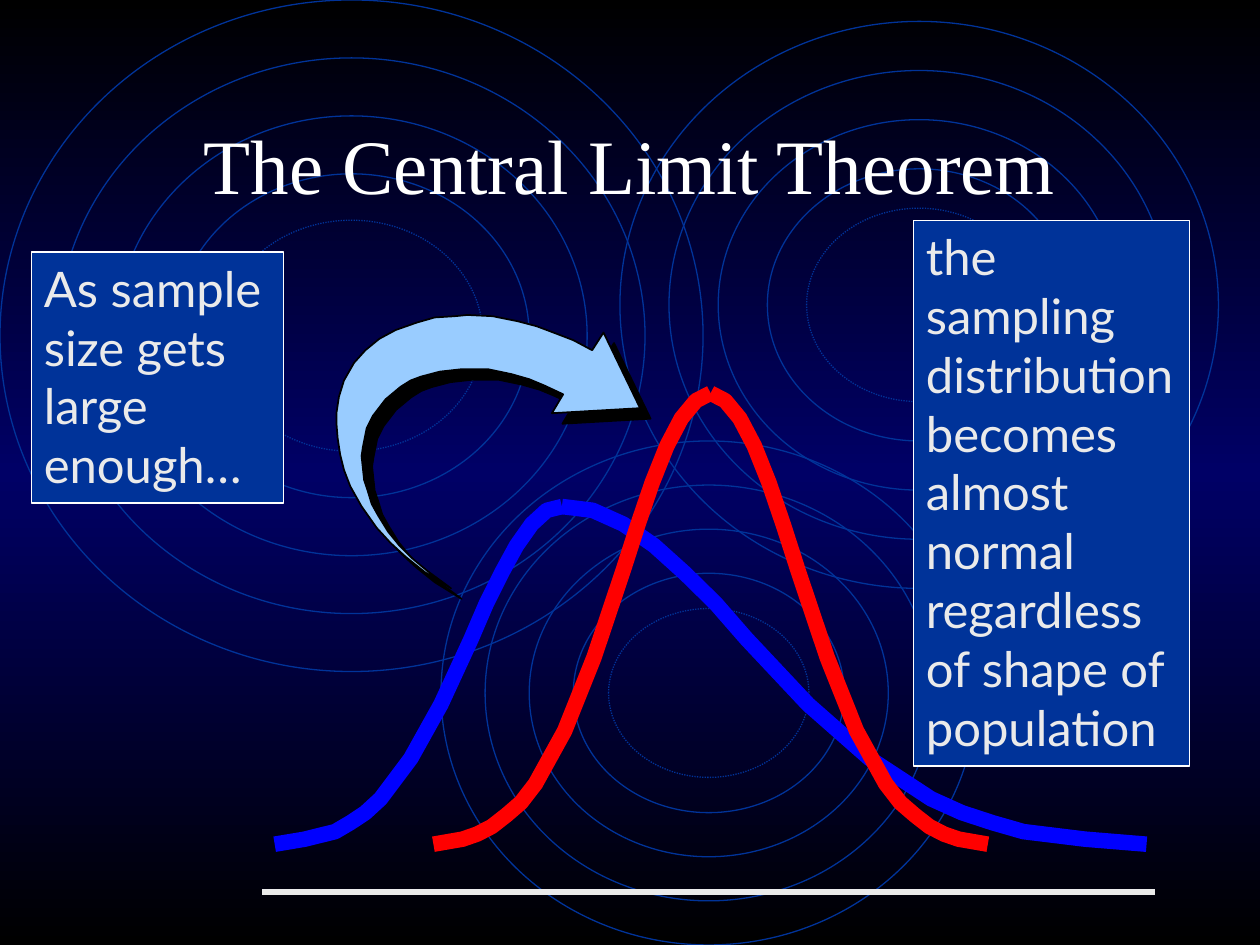
from copy import deepcopy

from lxml import etree
from pptx import Presentation
from pptx import util as u
from pptx.dml.color import RGBColor
from pptx.enum import dml, shapes, text
from pptx.oxml.ns import qn

BLACK = RGBColor(0x00, 0x00, 0x00)
MIDNIGHT = RGBColor(0x00, 0x00, 0x66)
NAVY = RGBColor(0x00, 0x33, 0x99)
BLUE = RGBColor(0x00, 0x00, 0xFF)
RED = RGBColor(0xFF, 0x00, 0x00)
SKY = RGBColor(0x99, 0xCC, 0xFF)
WHITE = RGBColor(0xFF, 0xFF, 0xFF)
PALE = RGBColor(0xEA, 0xEA, 0xEA)

COLUMNS, ROWS = 10, 7.5  # grid of one-inch cells

# Each half of a bell takes 19 equal steps from foot to peak
BELL_STEPS = [0, 2, 3, 4, 5, 6, 7, 9, 11, 13, 14, 15, 16, 17, 18, 19]
SKEWED_ROWS = [6.7, 6.66, 6.63, 6.6, 6.53, 6.45, 6.34, 6.02,
               5.59, 5.07, 4.79, 4.55, 4.33, 4.16, 4.05, 4.02]
NORMAL_ROWS = [6.7, 6.66, 6.62, 6.56, 6.47, 6.37, 6.22, 5.8,
               5.22, 4.53, 4.17, 3.83, 3.54, 3.32, 3.18, 3.12]

ARROW = [
    # outer edge, from tail to head
    (3.58, 4.67), (3.37, 4.54), (3.22, 4.42), (3.1, 4.31), (2.99, 4.19),
    (2.87, 4.02), (2.78, 3.86), (2.73, 3.73), (2.7, 3.61), (2.68, 3.48),
    (2.67, 3.36), (2.67, 3.28), (2.69, 3.15), (2.73, 3.02), (2.81, 2.88),
    (2.9, 2.78), (3.01, 2.69), (3.14, 2.62), (3.31, 2.56), (3.45, 2.52),
    (3.61, 2.51), (3.71, 2.5), (3.91, 2.51), (4.11, 2.55), (4.26, 2.59),
    (4.42, 2.65), (4.55, 2.7), (4.7, 2.78),
    # head
    (4.79, 2.64), (5.08, 3.24), (4.38, 3.28), (4.47, 3.13),
    # inner edge, back to tail
    (4.32, 3.06), (4.2, 3.01), (4.06, 2.97), (3.87, 2.93), (3.67, 2.93),
    (3.49, 2.95), (3.34, 2.99), (3.26, 3.02), (3.18, 3.07), (3.06, 3.17),
    (2.96, 3.3), (2.91, 3.4), (2.88, 3.55), (2.87, 3.62), (2.89, 3.81),
    (2.92, 3.9), (2.95, 4), (3, 4.09), (3.08, 4.22), (3.17, 4.33),
    (3.27, 4.43), (3.39, 4.53),
]


class Canvas:
    """Style and current slide; lengths are grid columns and rows."""

    def __init__(self, deck):
        self.slide = deck.slides.add_slide(deck.slide_layouts[6])
        self.shapes = self.slide.shapes
        self.cell_w = deck.slide_width / COLUMNS
        self.cell_h = deck.slide_height / ROWS

    def at(self, column, row):
        return round(column * self.cell_w), round(row * self.cell_h)

    def style(self, shape, line, width, fill=None):
        shape.shadow.inherit = False
        if fill is None:
            shape.fill.background()
        else:
            shape.fill.solid()
            shape.fill.fore_color.rgb = fill
        shape.line.color.rgb = line
        shape.line.width = u.Pt(width)

    def background(self, colors):
        fill = self.slide.background.fill
        fill.gradient()
        fill.gradient_angle = 270
        stop_list = self.slide.element.find(".//" + qn("a:gsLst"))
        while len(stop_list) < len(colors):
            stop_list.append(deepcopy(stop_list[0]))
        for i, (stop, color) in enumerate(zip(fill.gradient_stops, colors)):
            stop.color.rgb = color
            stop.position = i / (len(colors) - 1)

    def ripple(self, column, row, width, height, step):
        for ring in (0, 1, 2, 3, 3.8):
            inset = ring * step
            oval = self.shapes.add_shape(
                shapes.MSO_SHAPE.OVAL, *self.at(column + inset, row + inset),
                *self.at(width - 2 * inset, height - 2 * inset))
            self.style(oval, NAVY, 0.75)
        # the innermost ring is dotted
        oval.line.dash_style = dml.MSO_LINE.ROUND_DOT

    def outline(self, points, line, width, fill=None):
        start, *rest = [self.at(*point) for point in points]
        builder = self.shapes.build_freeform(*start)
        builder.add_line_segments(rest, close=fill is not None)
        shape = builder.convert_to_shape()
        self.style(shape, line, width, fill)
        return shape

    def half_bell(self, foot, peak, rows, color):
        step = (peak - foot) / BELL_STEPS[-1]
        points = [(foot + n * step, row) for n, row in zip(BELL_STEPS, rows)]
        self.outline(points, color, 8.88)

    def arrow(self, points):
        shape = self.outline(points, BLACK, 1, SKY)
        effects = shape.element.spPr.find(qn("a:effectLst"))
        shadow = etree.SubElement(
            effects, qn("a:outerShdw"), dist=str(u.Pt(8.5)),
            dir=str(45 * 60000), algn="ctr", rotWithShape="0")
        etree.SubElement(shadow, qn("a:srgbClr"), val=str(BLACK))

    def set_text(self, frame, words, font, size, color, align, anchor):
        frame.word_wrap = True
        frame.vertical_anchor = anchor
        paragraph = frame.paragraphs[0]
        paragraph.text = words
        paragraph.alignment = align
        paragraph.font.name = font
        paragraph.font.size = u.Pt(size)
        paragraph.font.color.rgb = color

    def title(self, column, row, width, height, words):
        box = self.shapes.add_textbox(*self.at(column, row),
                                      *self.at(width, height))
        self.set_text(box.text_frame, words, "Times New Roman", 44, WHITE,
                      text.PP_ALIGN.CENTER, text.MSO_ANCHOR.MIDDLE)

    def panel(self, column, row, width, height, words):
        box = self.shapes.add_shape(
            shapes.MSO_SHAPE.RECTANGLE, *self.at(column, row),
            *self.at(width, height))
        self.style(box, WHITE, 1, NAVY)
        self.set_text(box.text_frame, words, "Lato", 28, PALE,
                      text.PP_ALIGN.LEFT, text.MSO_ANCHOR.TOP)
        box.text_frame.auto_size = text.MSO_AUTO_SIZE.SHAPE_TO_FIT_TEXT

    def axis(self, left, right, row):
        line = self.shapes.add_connector(
            shapes.MSO_CONNECTOR.STRAIGHT, *self.at(left, row),
            *self.at(right, row))
        line.line.color.rgb = PALE
        line.line.width = u.Pt(3)
        etree.SubElement(line.element.spPr, qn("a:effectLst"))


def main():
    deck = Presentation()
    deck.slide_width, deck.slide_height = u.Inches(10), u.Inches(7.5)
    canvas = Canvas(deck)

    # Backdrop
    canvas.background([BLACK, MIDNIGHT, BLACK])
    canvas.ripple(0, 0, 5.58, 5.33, 0.46)
    canvas.ripple(3.5, 3.5, 4.25, 4, 0.35)
    canvas.ripple(4.92, 0.17, 4.75, 4.5, 0.39)

    canvas.title(0.75, 0.67, 8.5, 1.25, "The Central Limit Theorem")

    # Skewed population, then normal sampling distribution
    for foot, peak, rows, color in [
        (9.1, 4.46, SKEWED_ROWS, BLUE),
        (2.18, 4.46, SKEWED_ROWS, BLUE),
        (7.84, 5.64, NORMAL_ROWS, RED),
        (3.44, 5.64, NORMAL_ROWS, RED),
    ]:
        canvas.half_bell(foot, peak, rows, color)
    canvas.arrow(ARROW)

    # Statement in two panels
    canvas.panel(0.25, 2, 2, 1.99, "As sample size gets large enough…")
    canvas.panel(7.25, 1.75, 2.19, 4.33,
                 "the sampling distribution becomes almost normal "
                 "regardless of shape of population")

    canvas.axis(2.08, 9.17, 7.08)
    deck.save("out.pptx")


if __name__ == "__main__":
    main()
